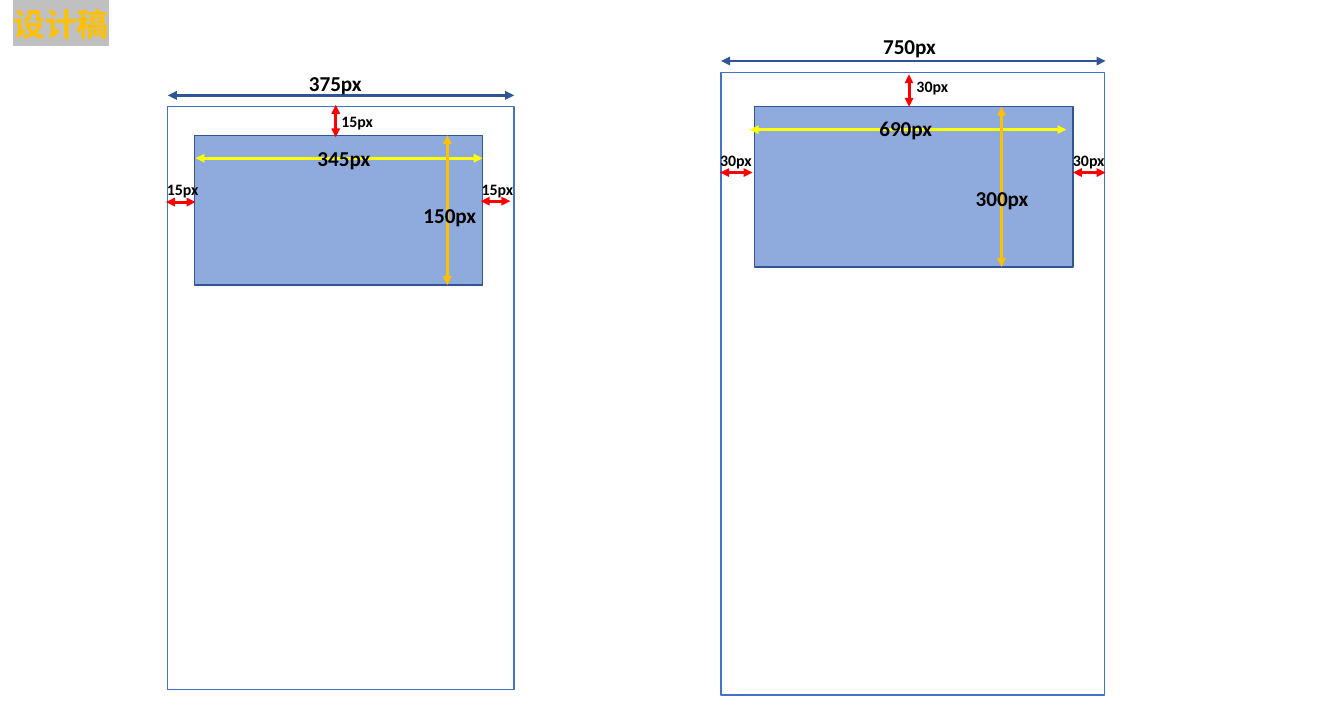
from lxml.etree import SubElement
from pptx import Presentation
from pptx.dml.color import RGBColor
from pptx.enum.shapes import MSO_CONNECTOR, MSO_SHAPE
from pptx.enum.text import MSO_ANCHOR, MSO_AUTO_SIZE, PP_ALIGN
from pptx.oxml.ns import qn
from pptx.util import Inches, Pt

FONT = "Calibri"
BLACK = RGBColor(0x00, 0x00, 0x00)
SCREEN_LINE = RGBColor(0x44, 0x72, 0xC4)
BANNER_FILL = RGBColor(0x8F, 0xAA, 0xDC)
BANNER_LINE = RGBColor(0x32, 0x54, 0x91)
NAVY = RGBColor(0x2F, 0x55, 0x97)
YELLOW = RGBColor(0xFF, 0xFF, 0x00)
GOLD = RGBColor(0xFF, 0xC0, 0x00)
RED = RGBColor(0xFF, 0x00, 0x00)
GREY = RGBColor(0xC0, 0xC0, 0xC0)

# Each dimension: arrow start, arrow end, colour, text, label box, text size
SMALL_DIMENSIONS = [
    ((1.76, 1), (5.39, 1), NAVY, "375px", (3.14, 0.69, 0.77, 0.37), 16),
    ((2.05, 1.66), (5.06, 1.66), YELLOW, "345px", (3.23, 1.48, 0.92, 0.37), 16),
    ((4.69, 1.42), (4.69, 2.99), GOLD, "150px", (4.34, 2.07, 0.92, 0.37), 16),
    ((1.74, 2.12), (2.05, 2.12), RED, "15px", (1.65, 1.84, 0.55, 0.3), 12),
    ((5.04, 2.11), (5.35, 2.11), RED, "15px", (4.95, 1.84, 0.55, 0.3), 12),
    ((3.52, 1.1), (3.52, 1.44), RED, "15px", (3.48, 1.12, 0.55, 0.3), 12),
]
LARGE_DIMENSIONS = [
    ((7.56, 0.64), (11.59, 0.64), NAVY, "750px", (9.16, 0.3, 0.85, 0.37), 16),
    ((7.86, 1.36), (11.18, 1.36), YELLOW, "690px", (9.12, 1.16, 1.02, 0.37), 16),
    ((10.5, 1.12), (10.5, 2.8), GOLD, "300px", (10.13, 1.9, 1.02, 0.37), 16),
    ((7.55, 1.81), (7.89, 1.81), RED, "30px", (7.45, 1.53, 0.61, 0.3), 12),
    ((11.25, 1.81), (11.59, 1.81), RED, "30px", (11.15, 1.53, 0.61, 0.3), 12),
    ((9.53, 0.78), (9.53, 1.12), RED, "30px", (9.51, 0.76, 0.61, 0.3), 12),
]


def inches(values):
    return [Inches(value) for value in values]


def write_text(shape, text, size, color):
    frame = shape.text_frame
    frame.text = text
    frame.word_wrap = True
    frame.auto_size = MSO_AUTO_SIZE.SHAPE_TO_FIT_TEXT
    frame.vertical_anchor = MSO_ANCHOR.TOP
    paragraph = frame.paragraphs[0]
    paragraph.alignment = PP_ALIGN.LEFT
    font = paragraph.font
    font.name, font.size, font.bold = FONT, Pt(size), True
    font.color.rgb = color
    return paragraph


def set_title(slide, text, box):
    title = slide.shapes.title
    title.left, title.top, title.width, title.height = inches(box)
    paragraph = write_text(title, text, 24, GOLD)
    # Text highlight
    properties = paragraph.runs[0].font._element if hasattr(
        paragraph.runs[0].font, "_element") else paragraph.runs[0]._r.get_or_add_rPr()
    highlight = SubElement(properties, qn("a:highlight"))
    SubElement(highlight, qn("a:srgbClr"), val=str(GREY))


def add_rectangle(slide, box, line_color, fill_color=None):
    shape = slide.shapes.add_shape(MSO_SHAPE.RECTANGLE, *inches(box))
    shape.shadow.inherit = False
    if fill_color is None:
        shape.fill.background()
    else:
        shape.fill.solid()
        shape.fill.fore_color.rgb = fill_color
    shape.line.color.rgb = line_color
    shape.line.width = Pt(1)


def add_arrow(slide, start, end, color):
    arrow = slide.shapes.add_connector(
        MSO_CONNECTOR.STRAIGHT, *inches(start + end))
    arrow.line.color.rgb = color
    arrow.line.width = Pt(2.25)
    # Arrowheads at both ends, no shadow
    line = arrow.line._get_or_add_ln()
    for tag in ("a:headEnd", "a:tailEnd"):
        SubElement(line, qn(tag), type="triangle")
    SubElement(arrow._element.spPr, qn("a:effectLst"))


def add_label(slide, text, box, size):
    label = slide.shapes.add_textbox(*inches(box))
    write_text(label, text, size, BLACK)


def add_mockup(slide, screen, banner, dimensions):
    add_rectangle(slide, screen, SCREEN_LINE)
    add_rectangle(slide, banner, BANNER_LINE, BANNER_FILL)
    for start, end, color, text, box, size in dimensions:
        add_arrow(slide, start, end, color)
        add_label(slide, text, box, size)


def main():
    presentation = Presentation()
    presentation.slide_width = Inches(14.09)
    presentation.slide_height = Inches(7.5)
    slide = presentation.slides.add_slide(presentation.slide_layouts[5])

    set_title(slide, "设计稿", (0.04, 0, 4.33, 0.5))

    # Screen at single width
    add_mockup(slide, (1.76, 1.12, 3.63, 6.11), (2.04, 1.42, 3.02, 1.57),
               SMALL_DIMENSIONS)
    # Screen at double width
    add_mockup(slide, (7.56, 0.76, 4.02, 6.53), (7.91, 1.12, 3.34, 1.68),
               LARGE_DIMENSIONS)

    presentation.save("out.pptx")


if __name__ == "__main__":
    main()
